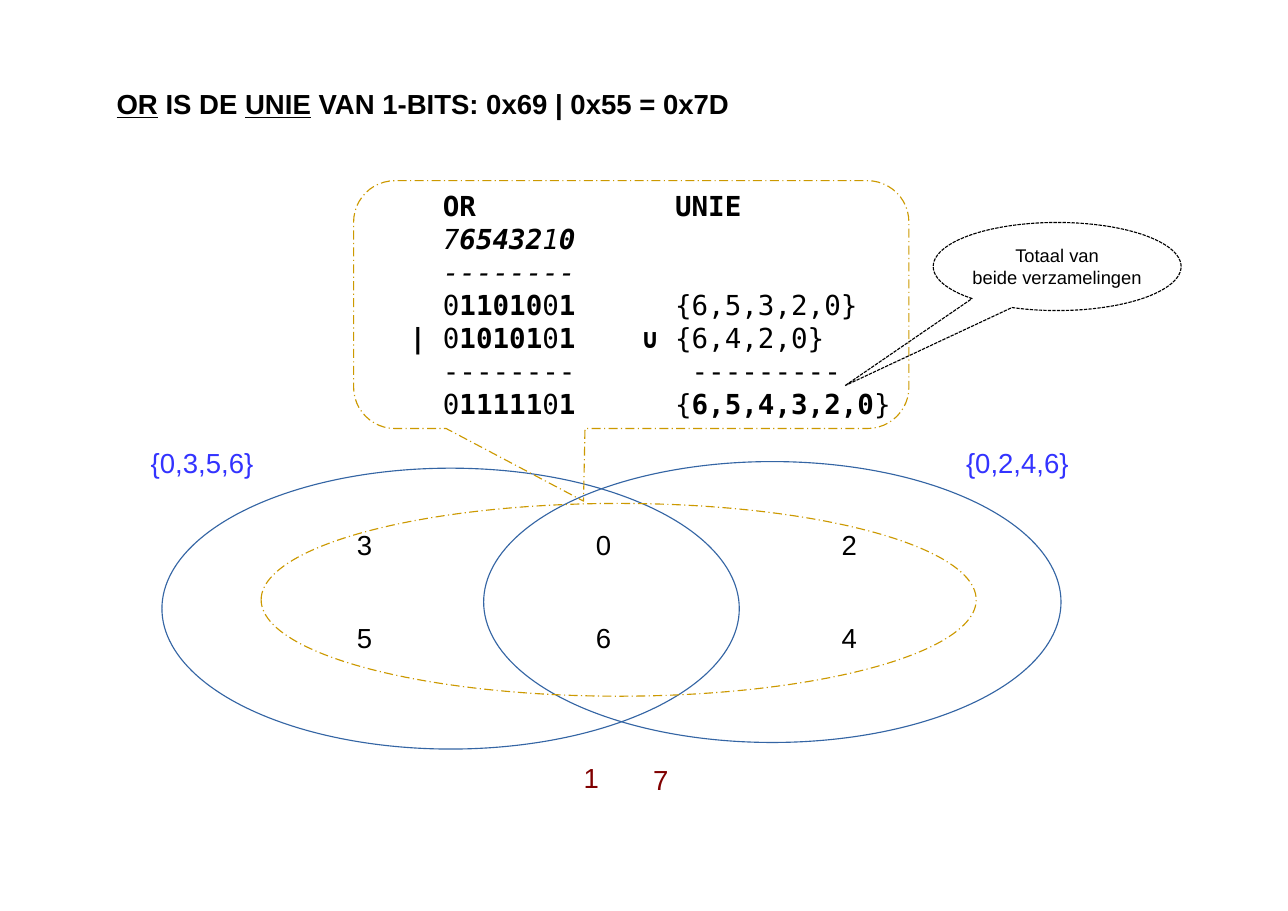
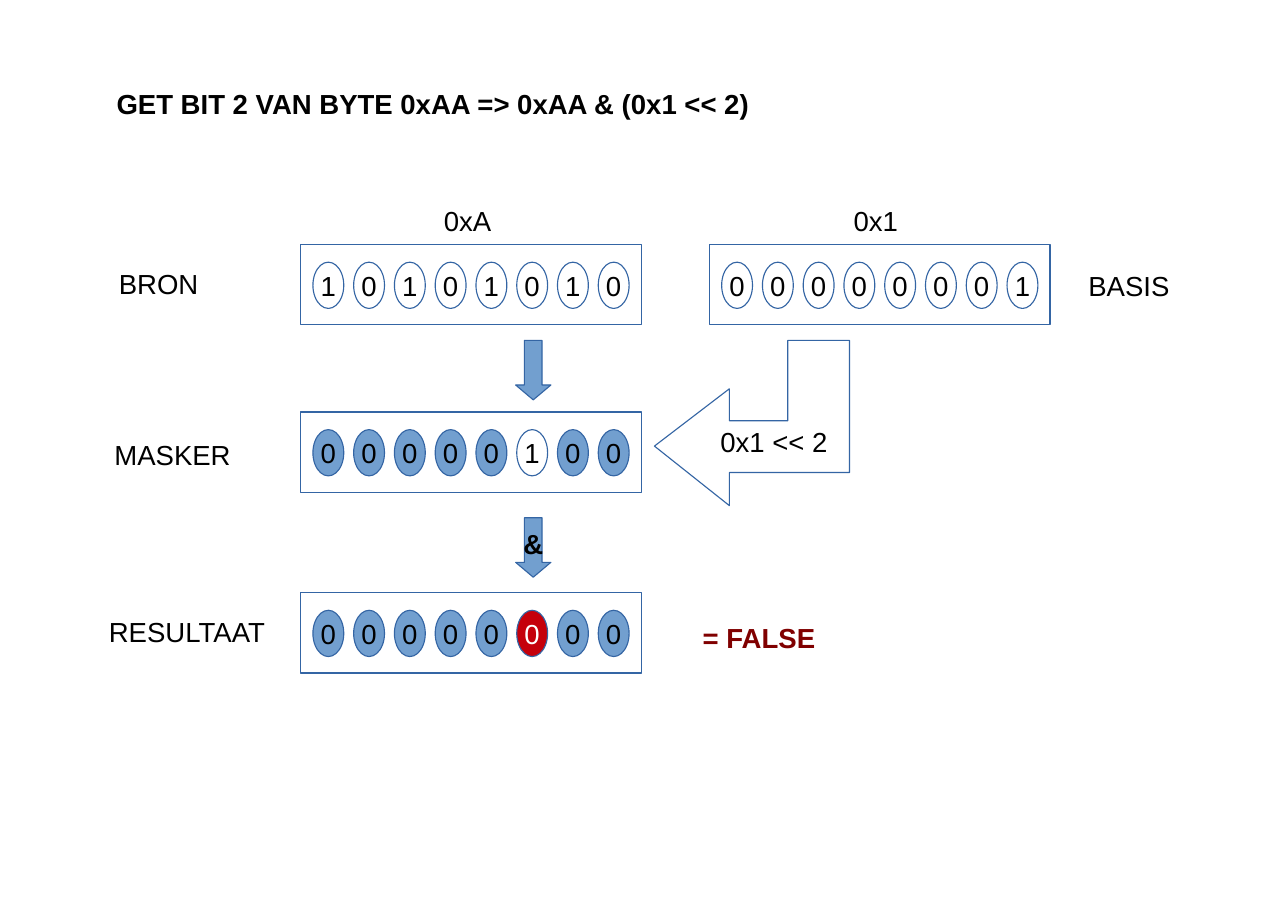
from lxml import etree
from pptx import Presentation
from pptx import util as u
from pptx.dml.color import RGBColor
from pptx.enum import dml, shapes, text
from pptx.oxml.ns import qn

# Shared look: a grid of tenth-inch columns and rows, colours, fonts
CELL = u.Inches(0.1)
BLACK, WHITE, MAROON, INDIGO = "000000", "FFFFFF", "800000", "3333FF"
BLUE, SKY, GOLD, RED = "3465A4", "729FCF", "CC9900", "C5000B"
SANS, MONO = "Arial", "DejaVu Sans Mono"
KIND = shapes.MSO_SHAPE


def write(paragraph, words, color=BLACK, size=18, font=SANS, bold=False, mark="*", emphasis="bold"):
    """Add runs; pieces between two marks get the emphasis."""
    for i, piece in enumerate(words.split(mark)):
        if piece:
            run = paragraph.add_run()
            run.text = piece
            run.font.name, run.font.size, run.font.bold = font, u.Pt(size), bold
            run.font.color.rgb = RGBColor.from_string(color)
            if i % 2:
                setattr(run.font, emphasis, True)


def add(slide, kind, col, row, cols, rows, fill=None, line=BLUE, dash=None):
    """Place a preset shape, or a text box if kind is None, on the grid."""
    box = [round(n * CELL) for n in (col, row, cols, rows)]
    if kind is None:
        label = slide.shapes.add_textbox(*box)
        label.text_frame.word_wrap = True
        return label
    shape = slide.shapes.add_shape(kind, *box)
    shape.shadow.inherit = False
    if fill:
        shape.fill.solid()
        shape.fill.fore_color.rgb = RGBColor.from_string(fill)
    else:
        shape.fill.background()
    shape.line.color.rgb = RGBColor.from_string(line)
    shape.line.width = 0
    if dash:
        shape.line.dash_style = dash
    shape.text_frame.word_wrap = False
    shape.text_frame.vertical_anchor = text.MSO_ANCHOR.MIDDLE
    shape.text_frame.paragraphs[0].alignment = text.PP_ALIGN.CENTER
    return shape


deck = Presentation()
deck.slide_width, deck.slide_height = u.Inches(11.69), u.Inches(8.27)

# Titles, underlined between underscores
titles = ["_OR_ IS DE _UNIE_ VAN 1-BITS: 0x69 | 0x55 = 0x7D",
          "GET BIT 2 VAN BYTE 0xAA => 0xAA & (0x1 << 2)"]
for title in titles:
    slide = deck.slides.add_slide(deck.slide_layouts[6])
    heading = add(slide, None, 9.6, 7.4, 68, 6.6)
    write(heading.text_frame.paragraphs[0], title, bold=True, mark="_", emphasis="underline")
union, getbit = deck.slides

# Slide 1: both sets and their union
gold_dash = dml.MSO_LINE.LONG_DASH_DOT
add(union, KIND.OVAL, 14.7, 42.5, 52.4, 25.5)
add(union, KIND.OVAL, 43.9, 41.9, 52.4, 25.5)
add(union, KIND.OVAL, 23.7, 45.7, 64.9, 17.5, line=GOLD, dash=gold_dash)

# Set names, members in three columns of two, and the bits outside
members = [(words, col, row, 6, BLACK)
           for col, pair in zip((31.4, 53.1, 75.4), ("35", "06", "24"))
           for words, row in zip(pair, (47.4, 55.9))]
names = [("{0,3,5,6}", 12.7, 40, 20, INDIGO), ("{0,2,4,6}", 86.7, 40, 20, INDIGO)]
outside = [("1", 52, 68.6, 6, MAROON), ("7", 58.3, 68.8, 6, MAROON)]
for words, col, row, cols, color in members + names + outside:
    label = add(union, None, col, row, cols, 5.8)
    write(label.text_frame.paragraphs[0], words, color)

# Calculation: text by character column, each column reached by a tab stop
calculation = [
    {4: "*OR*", 18: "*UNIE*"},
    {4: "7*65432*1*0*"},
    {4: "--------"},
    {4: "0*11010*0*1*", 18: "{6,5,3,2,0}"},
    {2: "*|*", 4: "0*10101*0*1*", 16: "*∪*", 18: "{6,4,2,0}"},
    {4: "--------", 19: "---------"},
    {4: "0*11111*0*1*", 18: "{*6,5,4,3,2,0*}"},
]
italic_lines = (1, 2)
char_width = u.Pt(18 * 0.602)
bubble = add(union, KIND.ROUNDED_RECTANGULAR_CALLOUT, 32.1, 16.4, 50.4, 22.5,
             line=GOLD, dash=gold_dash)
for i, value in enumerate((-0.086, 0.793, 0.167)):
    bubble.adjustments[i] = value
frame = bubble.text_frame
frame.word_wrap, frame.margin_right = True, 0
for i, parts in enumerate(calculation):
    paragraph = frame.add_paragraph() if i else frame.paragraphs[0]
    paragraph.alignment = text.PP_ALIGN.LEFT
    stops = etree.SubElement(paragraph._p.get_or_add_pPr(), qn("a:tabLst"))
    for column, words in parts.items():
        etree.SubElement(stops, qn("a:tab"), pos=str(column * char_width), algn="l")
        write(paragraph, "\t" + words, font=MONO)
    for run in paragraph.runs:
        run.font.italic = i in italic_lines

# Remark on the result
remark = add(union, KIND.OVAL_CALLOUT, 84.7, 20.2, 22.5, 8, line=BLACK, dash=dml.MSO_LINE.SQUARE_DOT)
remark.adjustments[0], remark.adjustments[1] = -0.855, 1.35
write(remark.text_frame.paragraphs[0], "Totaal van", size=12)
second = remark.text_frame.add_paragraph()
second.alignment = text.PP_ALIGN.CENTER
write(second, "beide verzamelingen", size=12)

# Slide 2: bytes as left, top, bits, usual fill, and the fill and text of bit 2
bytes_shown = [
    (27.3, 22.2, "10101010", None, None, BLACK),
    (64.4, 22.2, "00000001", None, None, BLACK),
    (27.3, 37.4, "00000100", SKY, None, BLACK),
    (27.3, 53.8, "00000000", SKY, RED, WHITE),
]
for left, top, bits, fill, chosen_fill, chosen_color in bytes_shown:
    add(getbit, KIND.RECTANGLE, left, top, 30.9, 7.3)
    for i, bit in enumerate(bits):
        chosen = i == 5
        cell = add(getbit, KIND.OVAL, left + 1.1 + 3.7 * i, top + 1.6, 2.8, 4.2,
                   fill=chosen_fill if chosen else fill)
        write(cell.text_frame.paragraphs[0], bit, chosen_color if chosen else BLACK)

# Arrows down through bit 2
for row, sign in ((30.9, ""), (47, "&")):
    arrow = add(getbit, KIND.DOWN_ARROW, 46.8, row, 3.2, 5.4, fill=SKY)
    arrow.adjustments[1] = 0.421
    write(arrow.text_frame.paragraphs[0], sign, bold=True)

# Bent arrow from base to mask
corners = [(66.2, 35.3), (66.2, 38.2), (71.5, 38.2), (71.5, 30.9), (77.1, 30.9),
           (77.1, 42.9), (66.2, 42.9), (66.2, 45.9), (59.4, 40.5)]
outline = getbit.shapes.build_freeform(*corners[0], scale=CELL)
outline = getbit.shapes.build_freeform(
    round(corners[0][0] * CELL), round(corners[0][1] * CELL))
outline.add_line_segments([(round(x * CELL), round(y * CELL)) for x, y in corners[1:]])
shift = outline.convert_to_shape()
shift.shadow.inherit = False
shift.fill.background()
shift.line.color.rgb = RGBColor.from_string(BLUE)
shift.line.width = 0

# Captions
captions = [
    ("BRON", 9.8, 23.7, 9.8), ("MASKER", 9.4, 39.3, 13.4), ("RESULTAAT", 8.9, 55.3, 17.7),
    ("BASIS", 97.8, 23.9, 11.7), ("0xA", 39.3, 18, 6.9), ("0x1", 76.5, 18, 8),
    ("0x1 << 2", 64.4, 38.1, 13.8),
]
for words, col, row, cols in captions:
    write(add(getbit, None, col, row, cols, 4.5).text_frame.paragraphs[0], words)
verdict = add(getbit, None, 62.8, 55.9, 12.6, 4.5)
write(verdict.text_frame.paragraphs[0], "= FALSE", MAROON, bold=True)

deck.save("out.pptx")
